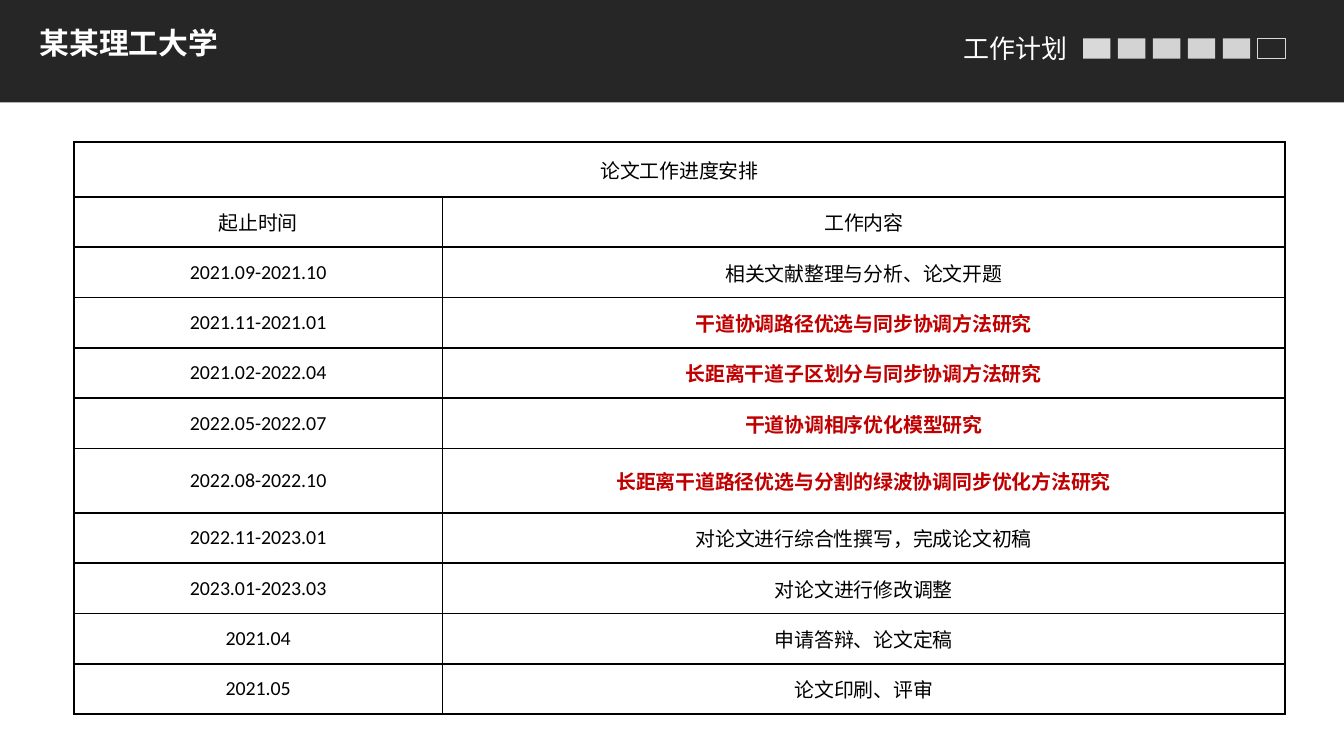
from lxml import etree
from pptx import Presentation
from pptx.dml.color import RGBColor
from pptx.enum.shapes import MSO_SHAPE
from pptx.enum.text import MSO_ANCHOR, PP_ALIGN
from pptx.oxml.ns import qn
from pptx.util import Inches, Pt

RECT = MSO_SHAPE.RECTANGLE
LEFT, CENTER = PP_ALIGN.LEFT, PP_ALIGN.CENTER
MIDDLE = MSO_ANCHOR.MIDDLE
LATIN, CJK = "Calibri", "Noto Sans CJK SC"
DARK, WHITE, GREY, BLACK, RED = "262626", "FFFFFF", "D9D9D9", "000000", "C00000"
TABLE_TITLE = "论文工作进度安排"
HEADINGS = ("起止时间", "工作内容")
PLAN = [
    ("2021.09-2021.10", "相关文献整理与分析、论文开题", False),
    ("2021.11-2021.01", "干道协调路径优选与同步协调方法研究", True),
    ("2021.02-2022.04", "长距离干道子区划分与同步协调方法研究", True),
    ("2022.05-2022.07", "干道协调相序优化模型研究", True),
    ("2022.08-2022.10", "长距离干道路径优选与分割的绿波协调同步优化方法研究", True),
    ("2022.11-2023.01", "对论文进行综合性撰写，完成论文初稿", False),
    ("2023.01-2023.03", "对论文进行修改调整", False),
    ("2021.04", "申请答辩、论文定稿", False),
    ("2021.05", "论文印刷、评审", False),
]
TALL_ROWS = {0: 0.4, 6: 0.47}


def rgb(color):
    """Turn a hex string into a colour."""
    return RGBColor.from_string(color)


def write(tf, text, size, color, font=LATIN, bold=False, align=LEFT):
    """Put one styled paragraph into a text frame."""
    p = tf.paragraphs[0]
    p.text = text
    p.alignment = align
    p.font.name = font
    p.font.size = Pt(size)
    p.font.bold = bold
    p.font.color.rgb = rgb(color)


def add_label(s, x, y, w, h, text, size, wrap=True, **style):
    """Add a white text box."""
    tf = s.shapes.add_textbox(Inches(x), Inches(y), Inches(w), Inches(h)).text_frame
    tf.word_wrap = wrap
    write(tf, text, size, WHITE, **style)


def add_box(s, x, y, w, h, fill=None, line=None, alpha=None):
    """Add a rectangle with an optional fill, outline and opacity in percent."""
    sp = s.shapes.add_shape(RECT, Inches(x), Inches(y), Inches(w), Inches(h))
    sp.shadow.inherit = False
    if fill:
        sp.fill.solid()
        sp.fill.fore_color.rgb = rgb(fill)
    else:
        sp.fill.background()
    if line:
        sp.line.color.rgb = rgb(line)
        sp.line.width = Pt(0.5)
    else:
        sp.line.fill.background()
    if alpha:
        color = sp.fill._xPr.find(".//" + qn("a:srgbClr"))
        etree.SubElement(color, qn("a:alpha"), val=str(alpha * 1000))


def add_progress(s, x, y, w, count=6):
    """Add a row of progress squares, the last one open."""
    side, height = 0.2, 0.15
    pitch = (w - side) / (count - 1)
    add_box(s, x, y, side, height, fill=GREY)
    for i in range(1, count - 1):
        add_box(s, x + i * pitch, y, side, height, fill=WHITE, alpha=80)
    add_box(s, x + w - side, y, side, height, line=GREY)


def add_header(s, x, y, w, h):
    """Add the dark header band with its title and progress marks."""
    add_box(s, x, y, w, h, fill=DARK)
    add_label(s, x + 0.19, y + 0.13, 3.88, 0.36, "某某理工大学", 15.7, bold=True)
    add_label(s, x + w - 2.88, y + 0.19, 0.97, 0.33, "工作计划", 13.7,
              wrap=False, font=CJK)
    add_progress(s, x + w - 1.91, y + 0.28, 1.48)


def add_borders(cell):
    """Draw a black line on all four sides of a cell."""
    tcPr = cell._tc.get_or_add_tcPr()
    for i, side in enumerate(("lnL", "lnR", "lnT", "lnB")):
        ln = etree.Element(qn("a:" + side), w=str(Pt(1)))
        fill = etree.SubElement(ln, qn("a:solidFill"))
        etree.SubElement(fill, qn("a:srgbClr"), val=BLACK)
        tcPr.insert(i, ln)


def fill_cell(cell, text, strong=False):
    """Style a table cell and write its text."""
    cell.fill.background()
    cell.vertical_anchor = MIDDLE
    cell.margin_left = cell.margin_right = Inches(0.07)
    cell.margin_top = cell.margin_bottom = 0
    write(cell.text_frame, text, 10.5, RED if strong else BLACK,
          bold=strong, align=CENTER)
    add_borders(cell)


def add_schedule(s, x, y, w, h):
    """Add the work schedule table."""
    rows = [(TABLE_TITLE, "", False), (*HEADINGS, False), *PLAN]
    table = s.shapes.add_table(len(rows), 2, Inches(x), Inches(y),
                               Inches(w), Inches(h)).table
    table.first_row = table.horz_banding = False
    table.columns[0].width = Inches(2.7)
    table.columns[1].width = Inches(w - 2.7)
    normal = (h - sum(TALL_ROWS.values())) / (len(rows) - len(TALL_ROWS))
    for i, (period, task, strong) in enumerate(rows):
        table.rows[i].height = Inches(TALL_ROWS.get(i, normal))
        fill_cell(table.cell(i, 0), period)
        fill_cell(table.cell(i, 1), task, strong)
    table.cell(0, 0).merge(table.cell(0, 1))


def main():
    """Build the slide and save it."""
    prs = Presentation()
    prs.slide_width, prs.slide_height = Inches(9.84), Inches(5.51)
    s = prs.slides.add_slide(prs.slide_layouts[6])
    add_header(s, 0, 0, 9.84, 0.75)
    add_schedule(s, 0.54, 1.04, 8.87, 4.19)
    prs.save("out.pptx")


if __name__ == "__main__":
    main()
